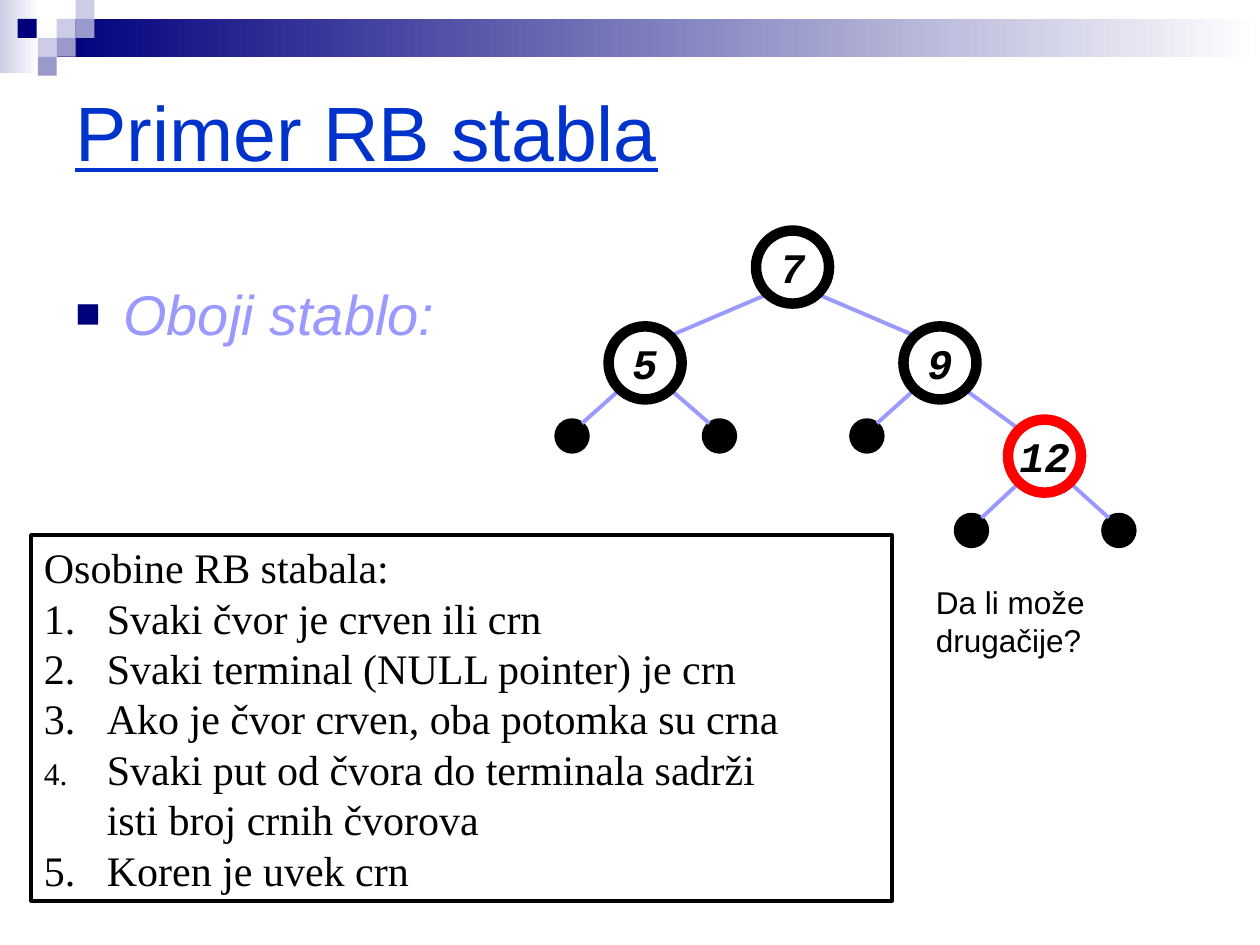
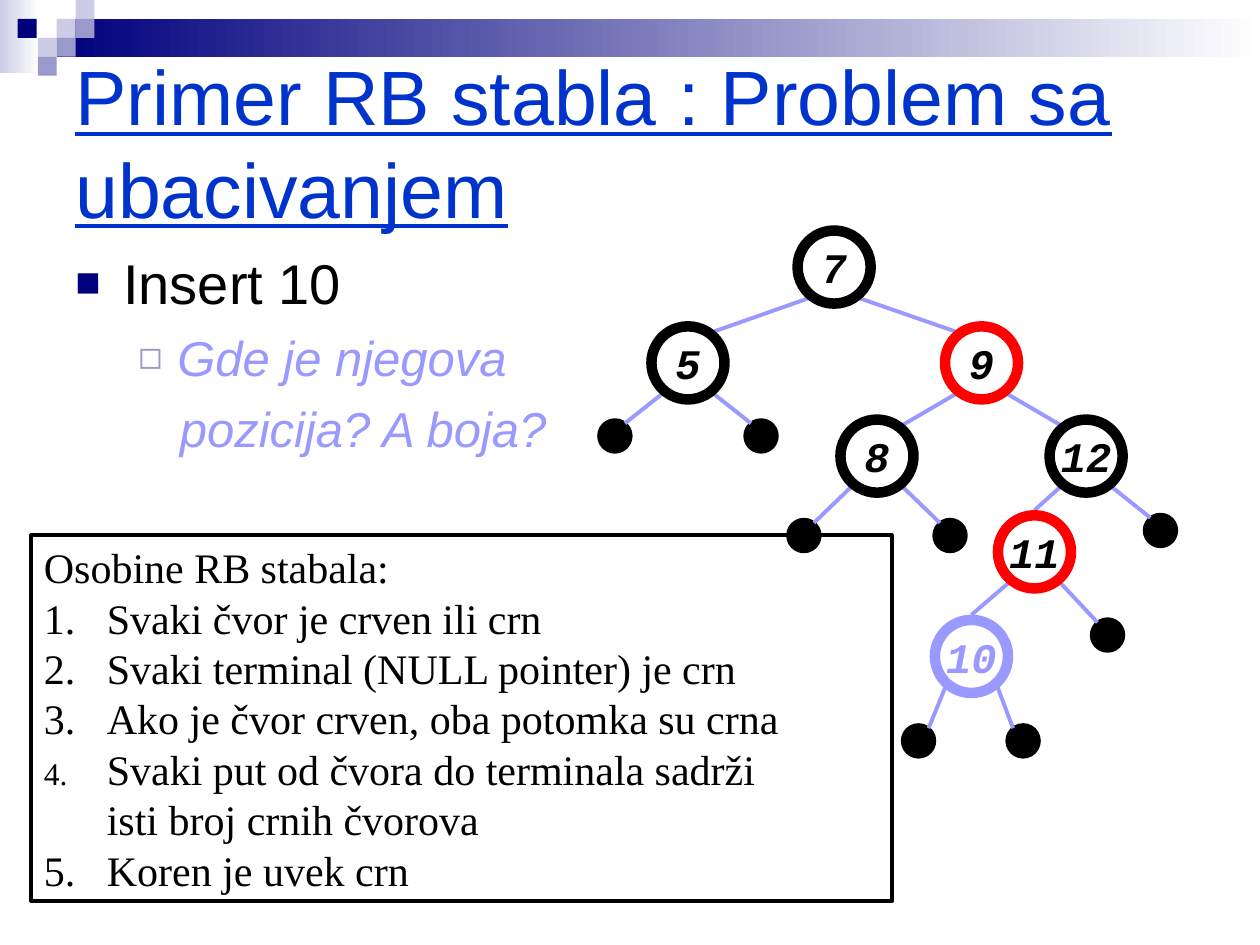
from lxml import etree
from pptx import Presentation
from pptx.dml.color import RGBColor
from pptx.enum.shapes import MSO_CONNECTOR, MSO_SHAPE
from pptx.enum.text import MSO_ANCHOR, PP_ALIGN
from pptx.oxml.ns import qn
from pptx.util import Inches, Pt

RECT, OVAL = MSO_SHAPE.RECTANGLE, MSO_SHAPE.OVAL
STRAIGHT = MSO_CONNECTOR.STRAIGHT
TOP, MIDDLE = MSO_ANCHOR.TOP, MSO_ANCHOR.MIDDLE
LEFT, CENTER = PP_ALIGN.LEFT, PP_ALIGN.CENTER

COLORS = {
    "navy": "00007D", "lilac": "CCCCE6", "violet": "9999CC", "title": "0033CC",
    "accent": "9999FF", "black": "000000", "red": "FF0000", "white": "FFFFFF",
}
SQUARE = 0.15
HEADER_SQUARES = [
    (0.45, 0.15, "lilac"), (0.6, 0, "lilac"), (0.6, 0.15, "violet"),
    (0.3, 0.3, "lilac"), (0.14, 0.15, "navy"), (0.45, 0.3, "violet"),
    (0.3, 0.45, "violet"),
]
NODE_SIZE, LEAF_SIZE = 0.58, 0.25
NODE_DX, LEAF_DX, LEAF_DY = 0.21, 0.08, 0.1
TOP_GAP = 0.33

RULES = [
    ("Osobine RB stabala:", {"margin": 0.5, "indent": -0.5}),
    ("Svaki čvor je crven ili crn", {"number": 1}),
    ("Svaki terminal (NULL pointer) je crn", {"number": 2}),
    ("Ako je čvor crven, oba potomka su crna", {"number": 3}),
    ("Svaki put od čvora do terminala sadrži", {"number": 4, "bullet_size": 75}),
    ("isti broj crnih čvorova", {"margin": 0.5}),
    ("Koren je uvek crn", {"number": 5}),
]

COLORING_TREE = {
    "7": (6.29, 2.12, "black", ["5", "9"]),
    "5": (5.12, 2.88, "black", [(4.54, 3.46), (5.71, 3.46)]),
    "9": (7.46, 2.88, "black", [(6.88, 3.46), "12"]),
    "12": (8.29, 3.62, "red", [(7.71, 4.21), (8.88, 4.21)]),
}
INSERTION_TREE = {
    "7": (6.62, 2.12, "black", ["5", "9"]),
    "5": (5.46, 2.88, "black", [(4.88, 3.46), (6.04, 3.46)]),
    "9": (7.79, 2.88, "red", ["8", "12"]),
    "8": (6.96, 3.62, "black", [(6.38, 4.25), (7.54, 4.25)]),
    "12": (8.62, 3.62, "black", ["11", (9.21, 4.21)]),
    "11": (8.21, 4.38, "red", ["10", (8.79, 5.04)]),
    "10": (7.71, 5.21, "accent", [(7.29, 5.88), (8.12, 5.88)]),
}


def rgb(name):
    return RGBColor.from_string(COLORS[name])


def add_bullet(p, char, number, color, size):
    pPr = p._p.get_or_add_pPr()
    clr = etree.SubElement(pPr, qn("a:buClr"))
    etree.SubElement(clr, qn("a:srgbClr"), val=COLORS[color])
    etree.SubElement(pPr, qn("a:buSzPct"), val=str(size * 1000))
    if number:
        etree.SubElement(pPr, qn("a:buAutoNum"), type="arabicPeriod", startAt=str(number))
    else:
        etree.SubElement(pPr, qn("a:buFont"), typeface="Arial")
        etree.SubElement(pPr, qn("a:buChar"), char=char)


def add_text(tf, text, size=24, font="Arial", color="black", bold=False, italic=False,
             underline=False, align=LEFT, before=0, margin=0, indent=0, level=0,
             bullet=None, number=None, bullet_color="black", bullet_size=100):
    p = tf.paragraphs[0]
    if p.runs:
        p = tf.add_paragraph()
    p.alignment, p.level = align, level
    p.space_before = Pt(before)
    if number:
        margin, indent = 0.5, -0.5
    pPr = p._p.get_or_add_pPr()
    pPr.set("marL", str(Inches(margin)))
    pPr.set("indent", str(Inches(indent)))
    if bullet or number:
        add_bullet(p, bullet, number, bullet_color, bullet_size)
    r = p.add_run()
    r.text = text
    f = r.font
    f.name, f.size, f.color.rgb = font, Pt(size), rgb(color)
    f.bold, f.italic, f.underline = bold, italic, underline


def add_shape(s, kind, x, y, w, h, fill=None, line=None, line_width=2.25):
    sp = s.shapes.add_shape(kind, Inches(x), Inches(y), Inches(w), Inches(h))
    sp.shadow.inherit = False
    if fill:
        sp.fill.solid()
        sp.fill.fore_color.rgb = rgb(fill)
    else:
        sp.fill.background()
    if line:
        sp.line.color.rgb = rgb(line)
        sp.line.width = Pt(line_width)
    else:
        sp.line.fill.background()
    return sp


def add_fade(s, x, y, w, h, start):
    sp = add_shape(s, RECT, x, y, w, h)
    sp.fill.gradient()
    sp.fill.gradient_angle = 0
    for stop, position, color in zip(sp.fill.gradient_stops, (0, 1), (start, "white")):
        stop.position = position
        stop.color.rgb = rgb(color)


def add_box(s, x, y, w, h, anchor=TOP, wrap=True):
    tf = s.shapes.add_textbox(Inches(x), Inches(y), Inches(w), Inches(h)).text_frame
    tf.word_wrap, tf.vertical_anchor = wrap, anchor
    return tf


def add_header(s):
    add_fade(s, 0, 0, 0.31, 0.58, "lilac")
    add_fade(s, 0.45, 0.15, 9.55, 0.3, "navy")
    for x, y, color in HEADER_SQUARES:
        add_shape(s, RECT, x, y, SQUARE, SQUARE, color)


def add_title(s, text, y):
    tf = add_box(s, 0.5, y, 9, 1.08, MIDDLE)
    add_text(tf, text, size=44, color="title", underline=True)


def add_main_point(tf, text, **fmt):
    add_text(tf, text, size=32, margin=0.38, indent=-0.38, bullet="■",
             bullet_color="navy", bullet_size=75, **fmt)


def add_edge(s, x1, y1, x2, y2):
    c = s.shapes.add_connector(STRAIGHT, Inches(x1), Inches(y1), Inches(x2), Inches(y2))
    c.line.color.rgb = rgb("accent")
    c.line.width = Pt(2.25)
    etree.SubElement(c._element.spPr, qn("a:effectLst"))


def add_circle(s, x, y, size, fill, line, line_width=2.25):
    return add_shape(s, OVAL, x - size / 2, y - size / 2, size, size, fill, line, line_width)


def add_node(s, key, x, y, color):
    sp = add_circle(s, x, y, NODE_SIZE, "white", color, 6)
    tf = sp.text_frame
    tf.word_wrap, tf.vertical_anchor = False, MIDDLE
    add_text(tf, key, font="Courier New", bold=True, italic=True, align=CENTER,
             color="accent" if color == "accent" else "black")


def add_tree(s, tree, node_dy, top_joined=()):
    for x, y, _, children in tree.values():
        for child, side in zip(children, (-1, 1)):
            if child in tree:
                cx, cy = tree[child][:2]
                dx, dy = (0, TOP_GAP) if child in top_joined else (NODE_DX, node_dy)
            else:
                cx, cy = child
                dx, dy = LEAF_DX, LEAF_DY
                add_circle(s, cx, cy, LEAF_SIZE, "black", "black")
            add_edge(s, x + side * NODE_DX, y + node_dy, cx - side * dx, cy - dy)
    for key, (x, y, color, _) in tree.items():
        add_node(s, key, x, y, color)


def add_rules(s):
    tf = add_shape(s, RECT, 0.25, 4.25, 6.83, 2.9, line="black").text_frame
    tf.word_wrap, tf.vertical_anchor = True, MIDDLE
    for text, fmt in RULES:
        add_text(tf, text, font="Times New Roman", **fmt)


def add_slide(prs, title, title_y):
    s = prs.slides.add_slide(prs.slide_layouts[6])
    add_header(s)
    add_title(s, title, title_y)
    return s


def build_coloring(prs):
    s = add_slide(prs, "Primer RB stabla", 0.5)
    add_main_point(add_box(s, 0.5, 2.17, 9, 4.25), "Oboji stablo:",
                   color="accent", italic=True)
    add_tree(s, COLORING_TREE, 0.22)
    add_rules(s)
    add_text(add_box(s, 7.33, 4.58, 2.6, 0.4, wrap=False), "Da li može drugačije?", size=18)


def build_insertion(prs):
    s = add_slide(prs, "Primer RB stabla : Problem sa ubacivanjem", 0.58)
    tf = add_box(s, 0.5, 1.92, 9, 4.25)
    add_main_point(tf, "Insert 10")
    question = {"size": 28, "color": "accent", "italic": True, "before": 7, "level": 1}
    add_text(tf, "Gde je njegova", margin=0.81, indent=-0.31, bullet="◻",
             bullet_color="violet", bullet_size=80, **question)
    add_text(tf, "pozicija? A boja?", margin=0.83, **question)
    add_tree(s, INSERTION_TREE, 0.25, top_joined=("11", "10"))
    add_rules(s)


def main():
    prs = Presentation()
    prs.slide_width, prs.slide_height = Inches(10), Inches(7.5)
    build_coloring(prs)
    build_insertion(prs)
    prs.save("out.pptx")


if __name__ == "__main__":
    main()
